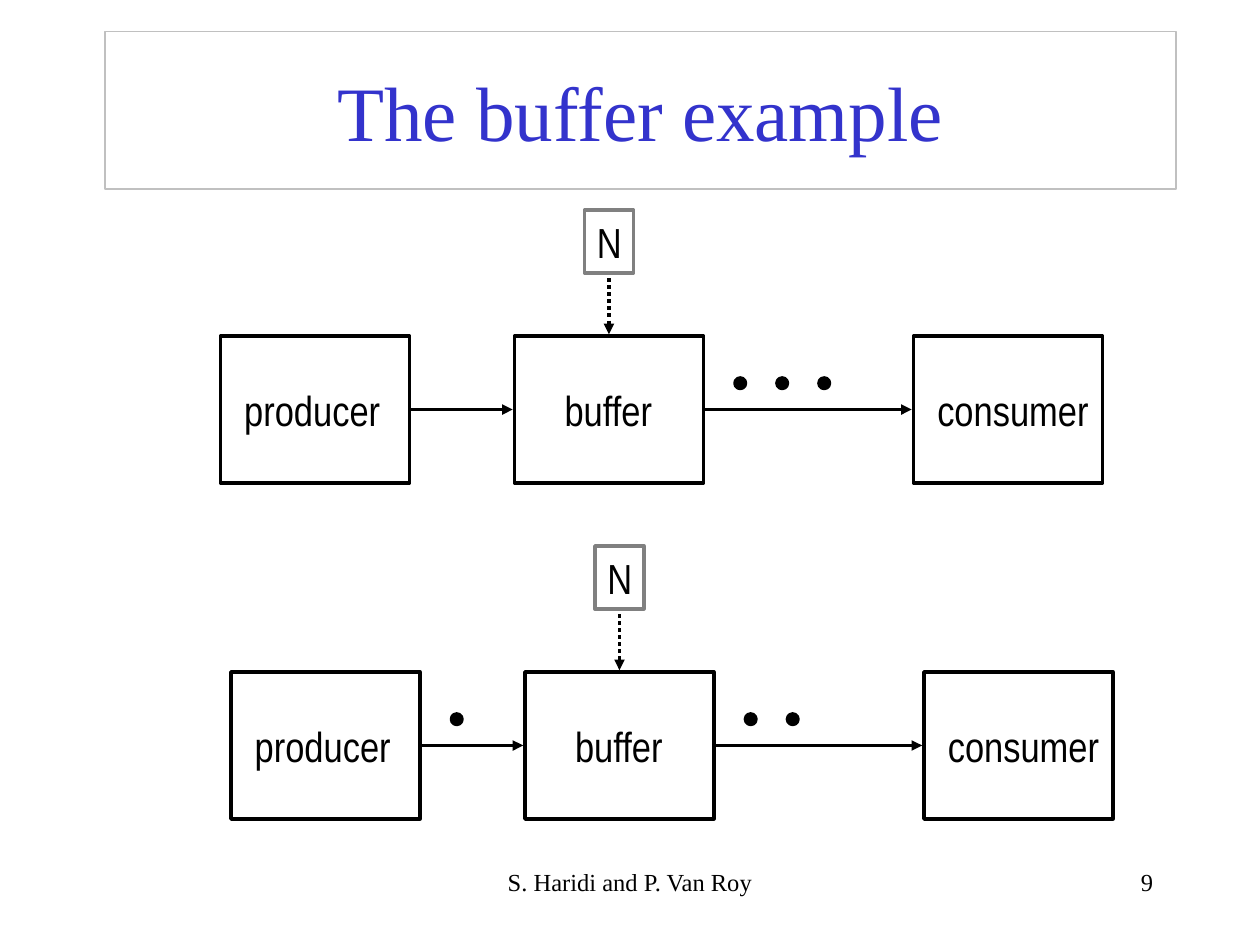
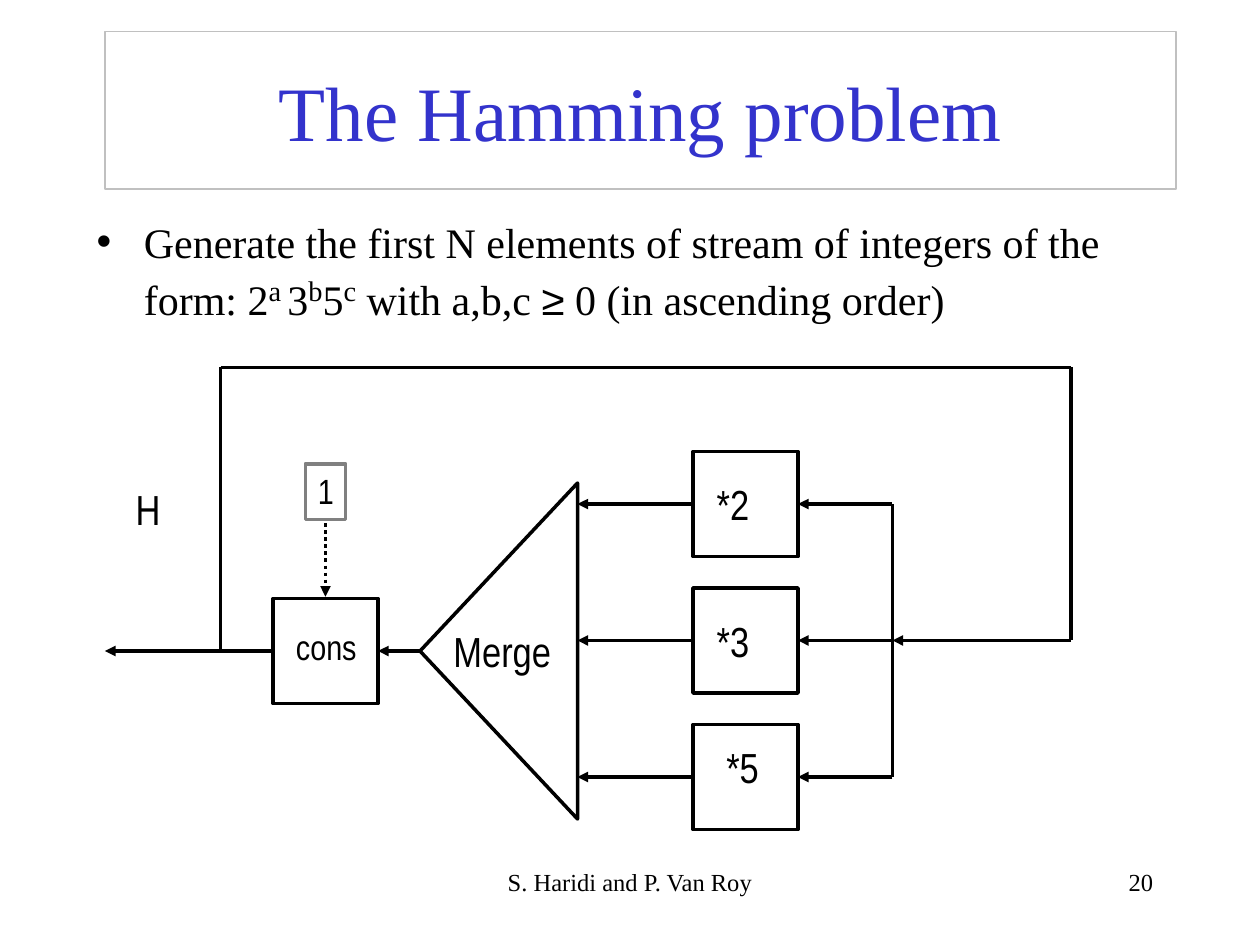
from lxml import etree
from pptx import Presentation
from pptx.dml.color import RGBColor
from pptx.enum import dml, shapes, text
from pptx.oxml import ns
from pptx.util import Pt

BLACK, GRAY, SILVER, BLUE = "000000", "808080", "C0C0C0", "3333CC"
SERIF, NARROW, SANS = "Times New Roman", "Arial Narrow", "Arial"
STROKE = 2


def color(hex_code):
    return RGBColor.from_string(hex_code)


def write(para, content, size=24, font=NARROW, ink=BLACK, align=None, raised=False):
    """Append one formatted span to a paragraph."""
    if align is not None:
        para.alignment = align
    span = para.add_run()
    span.text = content
    span.font.size = Pt(size)
    span.font.name = font
    span.font.color.rgb = color(ink)
    if raised:
        span.font._element.set("baseline", "30000")


def place(item, left, top, width, height):
    item.left, item.top, item.width, item.height = map(Pt, (left, top, width, height))


def stroke(line, ink=BLACK, width=STROKE):
    line.color.rgb = color(ink)
    line.width = Pt(width)


def add_outline(page, left, top, width, height, kind=shapes.MSO_SHAPE.RECTANGLE, fill=None):
    box = page.shapes.add_shape(kind, *map(Pt, (left, top, width, height)))
    box.shadow.inherit = False
    stroke(box.line)
    if fill:
        box.fill.solid()
        box.fill.fore_color.rgb = color(fill)
    else:
        box.fill.background()
    return box


def add_label(page, content, left, top, width, height=36, border=None, **style):
    box = page.shapes.add_textbox(*map(Pt, (left, top, width, height)))
    box.text_frame.word_wrap = False
    box.text_frame.auto_size = text.MSO_AUTO_SIZE.SHAPE_TO_FIT_TEXT
    write(box.text_frame.paragraphs[0], content, **style)
    if border:
        stroke(box.line, border)


def add_line(page, start, end, arrow=True, dotted=False):
    link = page.shapes.add_connector(
        shapes.MSO_CONNECTOR.STRAIGHT, *map(Pt, (*start, *end)))
    stroke(link.line)
    if dotted:
        link.line.dash_style = dml.MSO_LINE.ROUND_DOT
    if arrow:
        tail = etree.SubElement(link.line._get_or_add_ln(), ns.qn("a:tailEnd"))
        tail.set("type", "triangle")
    etree.SubElement(link._element.spPr, ns.qn("a:effectLst"))


def add_footer(page, number):
    parts = [("S. Haridi and P. Van Roy", 246, 228, text.PP_ALIGN.CENTER),
             (number, 516, 150, text.PP_ALIGN.RIGHT)]
    for content, left, width, align in parts:
        box = page.shapes.add_textbox(*map(Pt, (left, 492, width, 36)))
        box.text_frame.word_wrap = True
        write(box.text_frame.paragraphs[0], content, size=14, font=SERIF, align=align)


def add_page(deck, layout, heading, number):
    """Add a slide with the shared framed title and footer."""
    page = deck.slides.add_slide(deck.slide_layouts[layout])
    title = page.shapes.title
    place(title, 60, 18, 612, 90)
    stroke(title.line, SILVER, 0.75)
    title.text_frame.auto_size = text.MSO_AUTO_SIZE.NONE
    title.text_frame.vertical_anchor = text.MSO_ANCHOR.MIDDLE
    write(title.text_frame.paragraphs[0], heading, size=44, font=SERIF,
          ink=BLUE, align=text.PP_ALIGN.CENTER)
    add_footer(page, number)
    return page


def add_pipeline(page, left, top, queued, served):
    """Draw producer, buffer and consumer, with the items waiting on each stream."""
    width, height = 108, 84
    middle = top + height / 2
    stages = [("producer", 0, 6.5, 92), ("buffer", 168, 21.5, 65), ("consumer", 396, 6.5, 101)]
    for name, offset, inset, label_width in stages:
        add_outline(page, left + offset, top, width, height)
        add_label(page, name, left + offset + inset, top + 24, label_width)
    for (_, before, *_), (_, after, *_) in zip(stages, stages[1:]):
        add_line(page, (left + before + width + 1, middle), (left + after - 1, middle))

    add_label(page, "N", left + 208, top - 72, 28, border=GRAY)
    add_line(page, (left + 222, top - 33), (left + 222, top - 1), dotted=True)

    for stream, count in ((126, queued), (294, served)):
        for item in range(count):
            add_outline(page, left + stream + 24 * item, top + 24, 6, 6,
                        shapes.MSO_SHAPE.OVAL, BLACK)


def add_statement(page):
    body = page.placeholders[1]
    place(body, 48, 120, 612, 90)
    body.text_frame.auto_size = text.MSO_AUTO_SIZE.NONE
    para = body.text_frame.paragraphs[0]
    para.space_before = Pt(6)
    write(para, "Generate the first N elements of stream of integers of the form: 2", font=SERIF)
    for power, following in (("a", " 3"), ("b", "5"), ("c", " with a,b,c ")):
        write(para, power, size=28, font=SERIF, raised=True)
        if following.startswith(" 3"):
            write(para, " ", font=SERIF, raised=True)
            following = "3"
        write(para, following, font=SERIF)
    write(para, "≥", font=SANS)
    write(para, " 0 (in ascending order)", font=SERIF)


def add_hamming_network(page, left, top):
    """Draw the feedback loop, its top-left corner at the output arrow and top line."""
    def at(x, y):
        return left + x, top + y

    side, factor_left, bus, merge_right = 60, 336, 450, 270
    factors = [("*2", 6.5, 12), ("*3", 6.5, 12), ("*5", 12, 6)]
    for row, (name, inset, drop) in enumerate(factors):
        y = 48 + 78 * row
        middle = y + side / 2
        add_outline(page, *at(factor_left, y), side, side)
        add_label(page, name, *at(factor_left + inset, y + drop), 33)
        add_line(page, at(bus, middle), at(factor_left + side, middle))
        add_line(page, at(factor_left, middle), at(merge_right, middle))
    add_line(page, at(bus, 78), at(bus, 234), arrow=False)

    merge = add_outline(page, *at(129, 117), 192, 90, shapes.MSO_SHAPE.ISOSCELES_TRIANGLE)
    merge.rotation = 270
    add_label(page, "Merge", *at(192, 144), 70)
    add_line(page, at(180, 162), at(156, 162))

    add_outline(page, *at(96, 132), side, side)
    add_label(page, "cons", *at(102, 144), 49, 32, size=20)
    add_label(page, "1", *at(114.5, 55), 23, 32, border=GRAY, size=20)
    add_line(page, at(126, 89), at(126, 131), dotted=True)
    add_line(page, at(96, 162), at(0, 162))
    add_label(page, "H", *at(10.5, 63), 28)

    feedback = [at(66, 162), at(66, 0), at(552, 0), at(552, 156), at(bus, 156)]
    for start, end in zip(feedback, feedback[1:]):
        add_line(page, start, end, arrow=end == feedback[-1])


def main():
    deck = Presentation()
    deck.slide_width, deck.slide_height = Pt(720), Pt(540)

    page = add_page(deck, 5, "The buffer example", "9")
    add_pipeline(page, 126, 192, queued=0, served=3)
    add_pipeline(page, 132, 384, queued=1, served=2)

    page = add_page(deck, 1, "The Hamming problem", "20")
    add_statement(page)
    add_hamming_network(page, 60, 210)

    deck.save("out.pptx")


if __name__ == "__main__":
    main()
